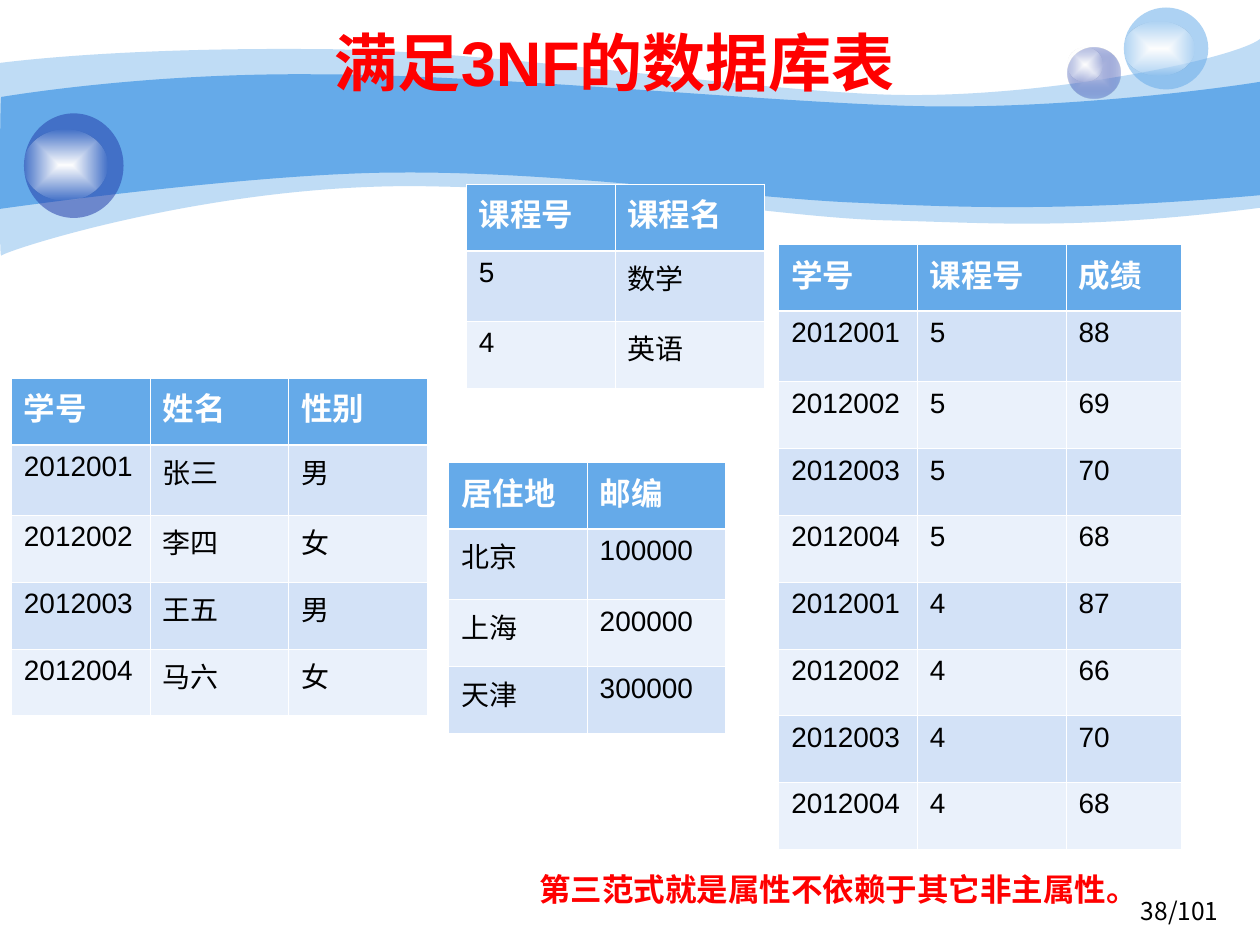
from lxml.etree import SubElement
from pptx import Presentation
from pptx.dml.color import RGBColor
from pptx.enum.shapes import MSO_SHAPE
from pptx.enum.text import MSO_ANCHOR, PP_ALIGN
from pptx.oxml import parse_xml
from pptx.oxml.ns import nsdecls, qn
from pptx.util import Inches, Pt

COLORS = {"blue": "65AAE9", "navy": "233DA9", "lilac": "C7CEE9", "white": "FFFFFF",
          "band": "D3E2F7", "pale": "EAF1FB", "red": "FF0000", "black": "000000"}


def add_run(p, text, size, color, bold=False, font="Arial"):
    r = p.add_run()
    r.text = text
    r.font.name, r.font.size, r.font.bold = font, Pt(size), bold
    r.font.color.rgb = RGBColor.from_string(COLORS[color])
    SubElement(r.font._element, qn("a:ea")).set("typeface", "Noto Sans CJK SC")


def paint(s, *stops):
    """Fill with one (color, opacity %) or, given two, a gradient from the centre outwards."""
    s.shadow.inherit = False
    s.line.fill.background()
    clrs = [f'<a:srgbClr val="{COLORS[c]}"><a:alpha val="{a * 1000}"/></a:srgbClr>'
            for c, a in stops]
    if len(clrs) == 1:
        xml = f'<a:solidFill {nsdecls("a")}>{clrs[0]}</a:solidFill>'
    else:
        xml = (f'<a:gradFill {nsdecls("a")}><a:gsLst><a:gs pos="0">{clrs[0]}</a:gs>'
               f'<a:gs pos="100000">{clrs[1]}</a:gs></a:gsLst><a:path path="rect">'
               '<a:fillToRect l="50000" t="50000" r="50000" b="50000"/></a:path></a:gradFill>')
    s.fill.background()
    spPr = s._element.spPr
    spPr.replace(spPr.find(qn("a:noFill")), parse_xml(xml))


prs = Presentation()
prs.slide_width, prs.slide_height = Inches(10), Inches(7.5)
slide = prs.slides.add_slide(prs.slide_layouts[6])
shapes = slide.shapes

# Waves: opacity, start point, then line ends (2 numbers) and Bezier curves (6 numbers)
waves = [
    (41, (0, 0.5), [
        (0.24, 0.47, 1.07, 0.38, 2.47, 0.39), (3.86, 0.39, 5.75, 0.7, 6.99, 0.75),
        (8.22, 0.8, 9.8, 0.47, 10, 0.31), (10, 1.65),
        (8.58, 1.83, 7.87, 1.77, 7.05, 1.75), (6.22, 1.73, 5.15, 1.51, 3.43, 1.48),
        (1.72, 1.44, 0.04, 1.99, 0.01, 2.03), (-0.01, 2.08, 0, 0.75, 0, 0.5)]),
    (100, (0.01, 0.77), [
        (0.02, 0.77, 1.1, 0.58, 2.48, 0.59), (3.86, 0.59, 5.95, 0.8, 7.18, 0.84),
        (8.41, 0.88, 9.76, 0.69, 10, 0.65), (10, 1.55),
        (8.53, 1.68, 7.65, 1.65, 6.82, 1.61), (5.99, 1.58, 4.47, 1.36, 3.17, 1.37),
        (2.03, 1.37, -0.02, 1.66, -0.01, 1.66), (0, 1.66, 0, 0.77, 0.01, 0.77)]),
]
for opacity, start, segments in waves:
    points = [(Inches(x), Inches(y)) for seg in segments for x, y in zip(seg[::2], seg[1::2])]
    builder = shapes.build_freeform(Inches(start[0]), Inches(start[1]))
    builder.add_line_segments(points, close=True)
    s = builder.convert_to_shape()
    # Join each three line steps of a curve into one Bezier step
    steps = iter(list(s._element.iter(qn("a:lnTo"))))
    for seg in segments:
        first = next(steps)
        if len(seg) == 6:
            first.tag = qn("a:cubicBezTo")
            for step in (next(steps), next(steps)):
                first.append(step[0])
                step.getparent().remove(step)
    paint(s, ("blue", opacity))

# Bubbles, each with a highlight on top
glow = [("white", 100), ("white", 0)]
bubbles = [
    ((8.47, 0.38, 0.42, 0.4), [("lilac", 100), ("navy", 31)]),
    ((8.47, 0.38, 0.28, 0.27), glow),
    ((8.92, 0.06, 0.67, 0.65), [("blue", 53)]),
    ((8.92, 0.17, 0.56, 0.43), glow),
    ((0.19, 0.9, 0.79, 0.83), [("navy", 53)]),
    ((0.19, 1.03, 0.66, 0.56), glow),
]
for box, stops in bubbles:
    paint(shapes.add_shape(MSO_SHAPE.OVAL, *map(Inches, box)), *stops)

# Title, page number and conclusion
texts = [
    ((0.84, 0.18, 8.08, 0.62), "满足3NF的数据库表", 36, "red", True, "Arial", PP_ALIGN.CENTER),
    ((7.44, 7.06, 2.33, 0.29), "38/101", 14, "black", False, "Noto Sans CJK SC", PP_ALIGN.RIGHT),
    ((4.18, 6.89, 4.95, 0.37), "第三范式就是属性不依赖于其它非主属性。", 18, "red", True,
     "Arial", PP_ALIGN.JUSTIFY),
]
for box, text, size, color, bold, font, align in texts:
    tf = shapes.add_textbox(*map(Inches, box)).text_frame
    tf.word_wrap = align != PP_ALIGN.JUSTIFY
    p = tf.paragraphs[0]
    p.alignment = align
    if align == PP_ALIGN.CENTER:
        tf.vertical_anchor = MSO_ANCHOR.MIDDLE
    if align == PP_ALIGN.JUSTIFY:
        p.line_spacing = 0.9
    add_run(p, text, size, color, bold, font)

# Tables: left, top, column widths, rows
ids = ["2012001", "2012002", "2012003", "2012004"]
scores = ["88", "69", "70", "68", "87", "66", "70", "68"]
tables = [
    (0.09, 3, [1.1, 1.1, 1.1],
     [("学号", "姓名", "性别"), *zip(ids, ["张三", "李四", "王五", "马六"], "男女男女")]),
    (3.7, 1.46, [1.18, 1.19], [("课程号", "课程名"), ("5", "数学"), ("4", "英语")]),
    (6.18, 1.94, [1.1, 1.18, 0.92],
     [("学号", "课程号", "成绩"), *zip(ids * 2, "55554444", scores)]),
    (3.56, 3.67, [1.1, 1.1],
     [("居住地", "邮编"), ("北京", "100000"), ("上海", "200000"), ("天津", "300000")]),
]
for left, top, widths, rows in tables:
    heights = [0.56 if i == 1 else 0.53 for i in range(len(rows))]
    table = shapes.add_table(len(rows), len(widths), Inches(left), Inches(top),
                             Inches(sum(widths)), Inches(sum(heights))).table
    for col, width in zip(table.columns, widths):
        col.width = Inches(width)
    for i, row in enumerate(rows):
        table.rows[i].height = Inches(heights[i])
        for j, text in enumerate(row):
            cell = table.cell(i, j)
            tcPr = cell._tc.get_or_add_tcPr()
            for side in "LRTB":
                thick = (i, side) in ((0, "B"), (1, "T"))
                tcPr.append(parse_xml(
                    f'<a:ln{side} {nsdecls("a")} w="{Pt(1.47 if thick else 0.45)}"><a:solidFill>'
                    f'<a:srgbClr val="{COLORS["white"]}"/></a:solidFill></a:ln{side}>'))
            fill = "blue" if i == 0 else "band" if i % 2 else "pale"
            cell.fill.solid()
            cell.fill.fore_color.rgb = RGBColor.from_string(COLORS[fill])
            style = (18, "white", True) if i == 0 else (16, "black")
            add_run(cell.text_frame.paragraphs[0], text, *style)

prs.save("out.pptx")
